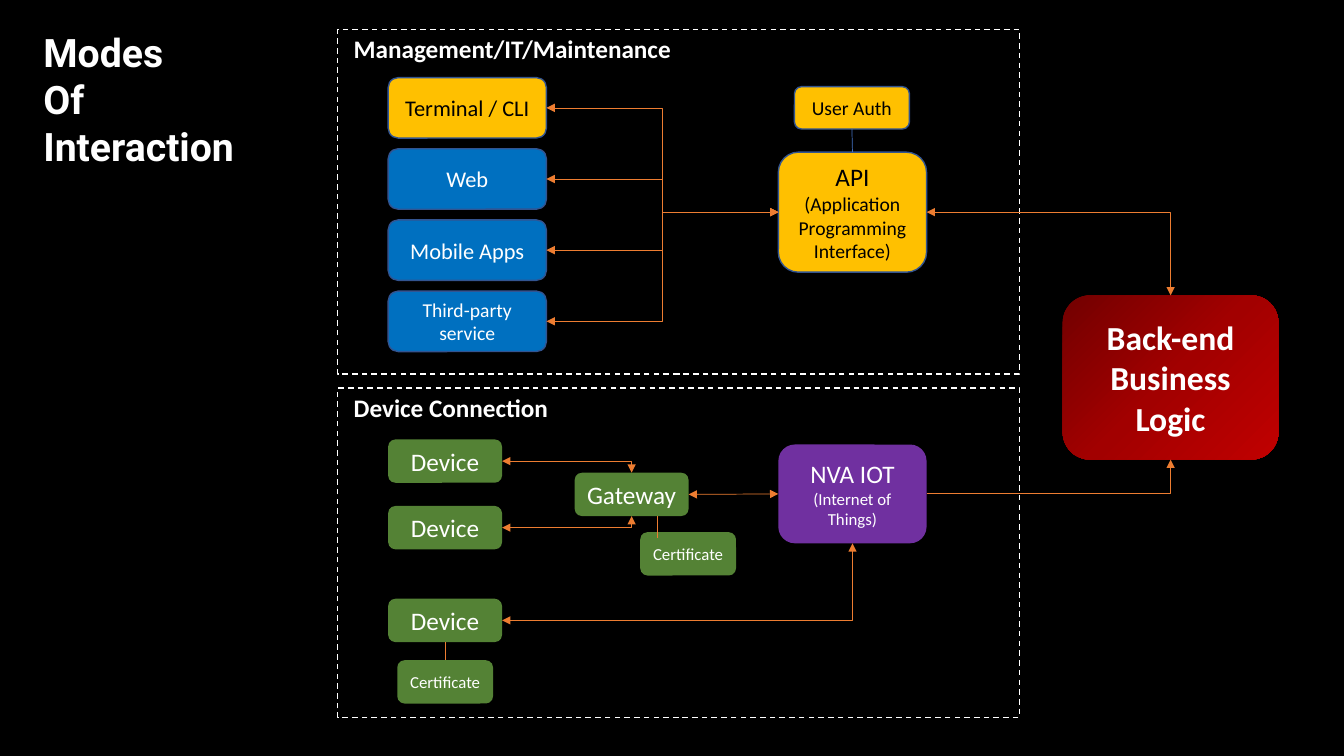
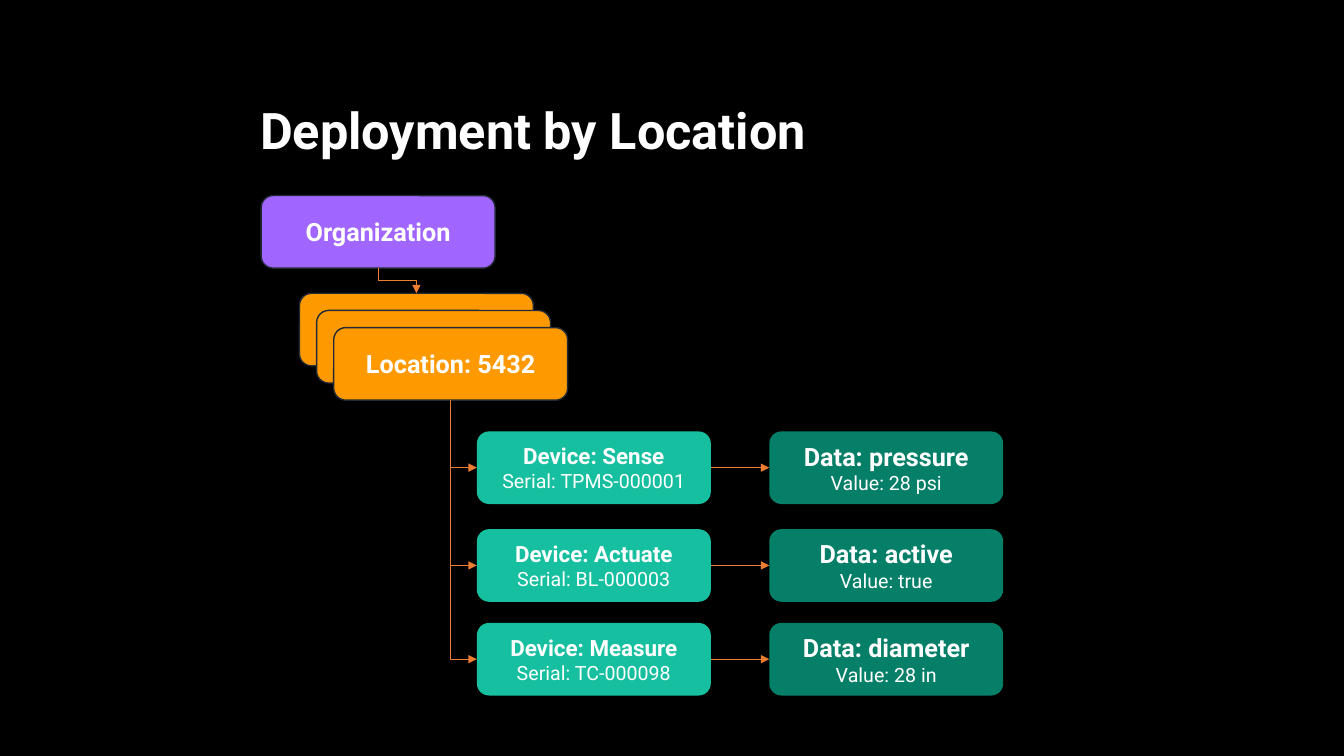
from pptx import Presentation
from pptx.dml.color import RGBColor
from pptx.enum.dml import MSO_LINE
from pptx.enum.shapes import MSO_CONNECTOR, MSO_SHAPE
from pptx.enum.text import MSO_ANCHOR, MSO_AUTO_SIZE, PP_ALIGN
from pptx.oxml.ns import qn
from pptx.util import Inches, Pt
from lxml.etree import SubElement
from copy import deepcopy

COLORS = {
    "black": "000000", "white": "FFFFFF", "arrow": "ED7D31", "auth": "4472C4",
    "amber": "FFC000", "blue": "0070C0", "edge": "325491", "green": "548235",
    "iot": "7030A0", "organization": "A166FF", "location": "FF9900",
    "card_edge": "222A35", "device": "16BF9F", "data": "067F68",
}
BACKEND_STOPS = [(0, "720000"), (0.5, "A20000"), (1, "C00000")]
TOP, LEFT, BOTTOM, RIGHT = range(4)  # connection sites

# Slide 1: zones, then boxes as key: (x, y, w, h), fill, edge, text colour, lines
ZONES = [("Device Connection", 3.85, 3.27), ("Management/IT/Maintenance", 0.29, 3.42)]
CLIENTS = [("Terminal / CLI", 16, "amber", "black"), ("Web", 16, "blue", "white"),
           ("Mobile Apps", 16, "blue", "white"), ("Third-party service", 14, "blue", "white")]
API_BOXES = {
    "api": ((7.72, 1.51, 1.47, 1.19), "amber", "edge", "black",
            [("API", 18), ("(Application Programming Interface)", 14)]),
    "auth": ((7.88, 0.86, 1.14, 0.42), "amber", "edge", "black", [("User Auth", 14)]),
    "backend": ((10.54, 2.93, 2.14, 1.63), None, None, "white",
                [("Back-end", 24), ("Business", 24), ("Logic", 24)]),
    "iot": ((7.72, 4.41, 1.47, 0.98), "iot", None, "white",
            [("NVA IOT", 18), ("(Internet of Things)", 12)]),
}
DEVICE_BOXES = {  # key: text, size, x, y, w
    "device1": ("Device", 18, 3.85, 4.36, 1.13),
    "device2": ("Device", 18, 3.85, 5.02, 1.13),
    "device3": ("Device", 18, 3.85, 5.94, 1.13),
    "gateway": ("Gateway", 18, 5.7, 4.69, 1.13),
    "device_cert": ("Certificate", 12, 3.94, 6.55, 0.95),
    "gateway_cert": ("Certificate", 12, 6.35, 5.28, 0.95),
}
LINKS = [  # from, site, to, site, preset, arrowheads
    ("device1", RIGHT, "gateway", TOP, "bentConnector2", "both"),
    ("device2", RIGHT, "gateway", BOTTOM, "bentConnector2", "both"),
    ("gateway", RIGHT, "iot", LEFT, "line", "both"),
    ("device3", RIGHT, "iot", BOTTOM, "bentConnector2", "both"),
    ("iot", RIGHT, "backend", BOTTOM, "bentConnector2", "tail"),
    ("api", RIGHT, "backend", TOP, "bentConnector2", "both"),
    ("device_cert", TOP, "device3", BOTTOM, "line", ""),
]

# Slide 2
ROWS = [  # top, device, serial, data, value
    (4.28, "Device: Sense", "Serial: TPMS-000001", "Data: pressure", "Value: 28 psi"),
    (5.25, "Device: Actuate", "Serial: BL-000003", "Data: active", "Value: true"),
    (6.18, "Device: Measure", "Serial: TC-000098", "Data: diameter", "Value: 28 in"),
]
CARD_W, CARD_H = 2.32, 0.72
STACK_STEP = 0.17


def rgb(name):
    return RGBColor.from_string(COLORS[name])


def write(tf, lines, font, color, align):
    """Fill a text frame with (text, size[, bold]) lines."""
    for i, (text, size, *bold) in enumerate(lines):
        p = tf.paragraphs[0] if i == 0 else tf.add_paragraph()
        p.text, p.alignment = text, align
        p.font.name, p.font.size = font, Pt(size)
        p.font.bold = bool(bold and bold[0])
        p.font.color.rgb = rgb(color)


def add_titled_slide(prs, lines, size, x, y, w, h):
    s = prs.slides.add_slide(prs.slide_layouts[5])
    sp = s.shapes.title
    sp.left, sp.top, sp.width, sp.height = map(Inches, (x, y, w, h))
    tf = sp.text_frame
    tf.word_wrap, tf.auto_size = False, MSO_AUTO_SIZE.NONE
    tf.vertical_anchor = MSO_ANCHOR.TOP
    write(tf, [(line, size, True) for line in lines], "Roboto", "white", PP_ALIGN.LEFT)
    return s


def add_box(s, at, fill, edge, lines=(), font="Calibri", color="white",
            preset=MSO_SHAPE.ROUNDED_RECTANGLE):
    sp = s.shapes.add_shape(preset, *map(Inches, at))
    sp.shadow.inherit = False
    if fill:
        sp.fill.solid()
        sp.fill.fore_color.rgb = rgb(fill)
    if edge:
        sp.line.color.rgb, sp.line.width = rgb(edge), Pt(1)
    else:
        sp.line.fill.background()
    tf = sp.text_frame
    tf.word_wrap, tf.vertical_anchor = True, MSO_ANCHOR.MIDDLE
    write(tf, lines, font, color, PP_ALIGN.CENTER)
    return sp


def fill_gradient(sp, stops):
    """Diagonal gradient with three stops."""
    sp.fill.gradient()
    sp.fill.gradient_angle = 315
    first = sp._element.spPr.find(".//" + qn("a:gs"))
    first.addnext(deepcopy(first))
    for stop, (position, color) in zip(sp.fill.gradient_stops, stops):
        stop.position = position
        stop.color.rgb = RGBColor.from_string(color)


def add_line(s, preset="line", heads="", color="arrow", points=(0, 0, 0, 0)):
    kind = MSO_CONNECTOR.STRAIGHT if preset == "line" else MSO_CONNECTOR.ELBOW
    cn = s.shapes.add_connector(kind, *map(Inches, points))
    cn.line.color.rgb, cn.line.width = rgb(color), Pt(0.5)
    spPr = cn._element.spPr
    spPr.find(qn("a:prstGeom")).set("prst", preset)
    ln = cn.line._get_or_add_ln()
    for end in ("head", "tail"):
        if heads in (end, "both"):
            SubElement(ln, qn(f"a:{end}End"), type="triangle")
    SubElement(spPr, qn("a:effectLst"))
    return cn


def link(s, start, start_site, end, end_site, preset="line", heads="", color="arrow"):
    cn = add_line(s, preset, heads, color)
    cn.begin_connect(start, start_site)
    cn.end_connect(end, end_site)
    return cn


def turn_downward(cn):
    """Make a right-and-down elbow leave and arrive vertically."""
    dx, dy = cn.width, cn.height
    cn.left, cn.top = cn.left + (dx - dy) // 2, cn.top + (dy - dx) // 2
    cn.width, cn.height = dy, dx
    xfrm = cn._element.spPr.find(qn("a:xfrm"))
    xfrm.set("rot", "16200000")
    xfrm.set("flipH", "1")


def build_modes(prs):
    s = add_titled_slide(prs, ["Modes", "Of", "Interaction"], 28, 0.33, 0.23, 2.24, 1.51)
    # Dashed zones with headings
    for heading, y, h in ZONES:
        sp = add_box(s, (3.35, y, 6.76, h), "black", "white", preset=MSO_SHAPE.RECTANGLE)
        sp.line.dash_style = MSO_LINE.DASH
        tb = s.shapes.add_textbox(*map(Inches, (3.41, y - 0.01, 3.37, 0.4)))
        tb.text_frame.word_wrap = False
        write(tb.text_frame, [(heading, 18, True)], "Calibri", "white", PP_ALIGN.LEFT)
    # Boxes
    boxes = {}
    for key, (at, fill, edge, color, lines) in API_BOXES.items():
        bold = key == "backend"
        boxes[key] = add_box(s, at, fill, edge, [(*line, bold) for line in lines], color=color)
    fill_gradient(boxes["backend"], BACKEND_STOPS)
    for key, (text, size, x, y, w) in DEVICE_BOXES.items():
        boxes[key] = add_box(s, (x, y, w, 0.43), "green", None, [(text, size)])
    # Clients, each linked to the API
    for i, (text, size, fill, color) in enumerate(CLIENTS):
        client = add_box(s, (3.85, 0.77 + 0.706 * i, 1.57, 0.6), fill, "edge",
                         [(text, size)], color=color)
        link(s, client, RIGHT, boxes["api"], LEFT, "bentConnector3", "both")
    # Other links
    for start, start_site, end, end_site, preset, heads in LINKS:
        link(s, boxes[start], start_site, boxes[end], end_site, preset, heads)
    link(s, boxes["api"], TOP, boxes["auth"], BOTTOM, color="auth")
    add_line(s, points=(6.52, 5.34, 6.52, 5.12))


def build_deployment(prs):
    s = add_titled_slide(prs, ["Deployment by Location"], 36, 2.48, 0.93, 6.01, 0.71)

    def card(x, y, fill, edge=None, *lines):
        return add_box(s, (x, y, CARD_W, CARD_H), fill, edge, lines, "Roboto")

    # Organization and its stack of locations
    organization = card(2.59, 1.94, "organization", "card_edge", ("Organization", 18, True))
    stack = []
    for i, lines in enumerate([(), (), (("Location: 5432", 18, True),)]):
        offset = STACK_STEP * i
        stack.append(card(2.97 + offset, 2.91 + offset, "location", "card_edge", *lines))
    turn_downward(link(s, organization, BOTTOM, stack[0], TOP, "bentConnector3", "tail"))
    # Devices and their data
    for y, device_name, serial, data_name, value in ROWS:
        device = card(4.73, y, "device", None, (device_name, 16, True), (serial, 14))
        data = card(7.63, y, "data", None, (data_name, 18, True), (value, 14))
        link(s, device, LEFT, stack[-1], BOTTOM, "bentConnector2", "head")
        link(s, device, RIGHT, data, LEFT, "line", "tail")


def main():
    prs = Presentation()
    prs.slide_width, prs.slide_height = Inches(13.33), Inches(7.5)
    background = prs.slide_master.background.fill
    background.solid()
    background.fore_color.rgb = rgb("black")
    build_modes(prs)
    build_deployment(prs)
    prs.save("out.pptx")


if __name__ == "__main__":
    main()
